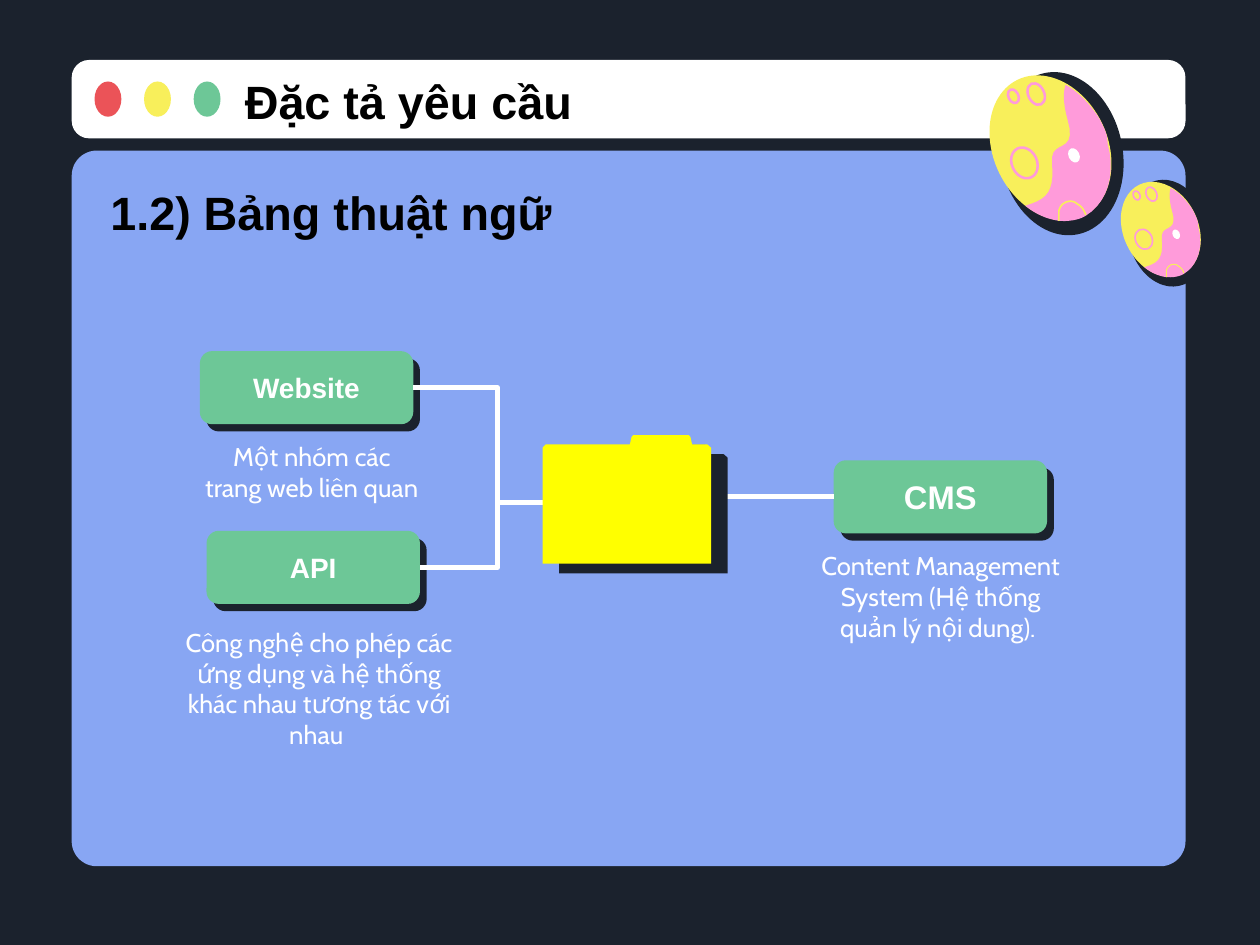
from dataclasses import dataclass

from lxml import etree
from pptx import Presentation
from pptx import util as u
from pptx.dml.color import RGBColor
from pptx.enum import shapes, text
from pptx.oxml.ns import qn

COLUMNS, ROWS = 75, 56.25
CELL = u.Inches(0.1)
Point = tuple[float, float]
Curve = tuple[Point, Point, Point]


@dataclass(frozen=True)
class Theme:
    dark: str = "1B222D"
    panel: str = "88A6F3"
    white: str = "FFFFFF"
    black: str = "000000"
    red: str = "EB5358"
    yellow: str = "F8EF5B"
    green: str = "6DC797"
    pink: str = "FF9BDA"
    folder: str = "FFFF00"
    heading_font: str = "Arial"
    body_font: str = "Cabin"
    heading: float = 20
    label: float = 12
    large_label: float = 14
    note: float = 11
    wire: float = 2.25
    ring: float = 1.1
    arc: float = 0.7


@dataclass(frozen=True)
class Box:
    col: float
    row: float
    cols: float
    rows: float


@dataclass(frozen=True)
class Term:
    label: str
    size: float
    card: Box
    note: str
    note_box: Box


@dataclass(frozen=True)
class Egg:
    col: float
    row: float
    scale: float


T = Theme()
CARD = (12.7, 4.35)
TERMS = [
    Term("Website", T.label, Box(11.9, 20.9, *CARD), "Một nhóm các trang web liên quan", Box(11.46, 25.53, 14.2, 4.9)),
    Term("API", T.label, Box(12.3, 31.6, *CARD),
         "Công nghệ cho phép các ứng dụng và hệ thống khác nhau tương tác với nhau ", Box(9.55, 36.6, 18.9, 6.2)),
    Term("CMS", T.large_label, Box(49.63, 27.4, *CARD),
         "Content Management System (Hệ thống quản lý nội dung). ", Box(47.95, 32.04, 16.1, 6.2)),
]
EGGS = [Egg(62.53, 8.8, 1), Egg(69.1, 13.65, 0.655)]
EGG_TILT = -25.7
RINGS = [Box(-0.85, -3.2, 0.95, 1.35), Box(-2.2, -3.07, 0.6, 0.85), Box(-1.55, 0.9, 1.5, 1.9)]
PINK_HALF: list[Curve] = [
    ((1.6, -3.35), (2.2, -2.75), (2.7, -2.05)), ((2.9, -1.8), (3.05, -1.45), (3.2, -1.15)),
    ((3.3, -0.9), (3.4, -0.65), (3.4, -0.25)), ((3.9, 1.55), (3.4, 3.25), (2.1, 4.05)),
    ((1.7, 4.3), (1.1, 4.4), (0.5, 4.35)), ((-0.2, 4.25), (-0.9, 3.95), (-1.5, 3.45)),
    ((-0.1, 3.05), (0.2, 2.55), (0.1, 0.95)), ((-0.1, -0.65), (1.7, 0.55), (1, -1.75)),
    ((0.7, -2.85), (0.8, -3.45), (0.9, -3.75)),
]
YELLOW_ARC: list[Curve] = [
    ((2, 3.65), (1.8, 3.45), (1.6, 3.35)), ((1.4, 3.15), (1.1, 3.15), (0.9, 3.25)),
    ((0.7, 3.35), (0.6, 3.45), (0.5, 3.75)), ((0.5, 3.95), (0.5, 4.15), (0.5, 4.35)),
]
FOLDER = [(0, 0.75), (0.2, 0.55), (5.2, 0.55), (5.3, 0.1), (5.4, 0), (8.7, 0), (8.8, 0.1),
          (8.9, 0.55), (9.8, 0.55), (10.03, 0.75), (10.03, 7.65), (0, 7.65)]
FOLDER_AT = (32.3, 25.9)
FOLDER_SHADOW = (0.98, 0.59)
CARD_SHADOW = (0.4, 0.43)
TRUNK, FOLDER_ROW = 29.6, 29.9


def grid(value: float) -> int:
    return round(value * CELL)


def rgb(value: str) -> RGBColor:
    return RGBColor.from_string(value)


def paint(s, fill: str | None, line: str | None = None, width: float = 0) -> None:
    s.shadow.inherit = False
    if fill:
        s.fill.solid()
        s.fill.fore_color.rgb = rgb(fill)
    else:
        s.fill.background()
    if line:
        s.line.color.rgb = rgb(line)
        s.line.width = u.Pt(width)
    else:
        s.line.fill.background()


def add_preset(sl, kind, box: Box, fill: str | None, line: str | None = None,
               width: float = 0, tilt: float = 0, corner: float | None = None):
    s = sl.shapes.add_shape(kind, *map(grid, (box.col, box.row, box.cols, box.rows)))
    paint(s, fill, line, width)
    s.rotation = tilt
    if corner is not None:
        s.adjustments[0] = corner
    return s


def add_outline(sl, points: list[Point], closed: bool, fill: str | None,
                line: str | None = None, width: float = 0) -> None:
    (x, y), *rest = [(grid(a), grid(b)) for a, b in points]
    builder = sl.shapes.build_freeform(x, y)
    builder.add_line_segments(rest, close=closed)
    paint(builder.convert_to_shape(), fill, line, width)


def trace(start: Point, curves: list[Curve], steps: int = 10) -> list[Point]:
    points = [start]
    for curve in curves:
        anchors = (points[-1], *curve)
        for k in range(1, steps + 1):
            t = k / steps
            weights = ((1 - t) ** 3, 3 * t * (1 - t) ** 2, 3 * t * t * (1 - t), t ** 3)
            points.append((sum(w * a[0] for w, a in zip(weights, anchors)),
                           sum(w * a[1] for w, a in zip(weights, anchors))))
    return points


def write(s, words: str, size: float, font: str, color: str, bold: bool, align, anchor) -> None:
    tf = s.text_frame
    frame = dict.fromkeys(("margin_left", "margin_right", "margin_top", "margin_bottom"), u.Inches(0.07))
    frame |= {"word_wrap": True, "auto_size": text.MSO_AUTO_SIZE.NONE, "vertical_anchor": anchor}
    for key, value in frame.items():
        setattr(tf, key, value)
    p = tf.paragraphs[0]
    p.alignment = align
    r = p.add_run()
    r.text = words
    for key, value in {"size": u.Pt(size), "name": font, "bold": bold}.items():
        setattr(r.font, key, value)
    r.font.color.rgb = rgb(color)


def add_text_box(sl, box: Box):
    return sl.shapes.add_textbox(*map(grid, (box.col, box.row, box.cols, box.rows)))


def add_heading(s, words: str) -> None:
    write(s, words, T.heading, T.heading_font, T.black, True, text.PP_ALIGN.LEFT, text.MSO_ANCHOR.MIDDLE)


def add_egg(sl, egg: Egg) -> None:
    def place(x: float, y: float) -> Point:
        return egg.col + x * egg.scale, egg.row + y * egg.scale

    def oval(x: float, y: float, w: float, h: float, fill: str | None, line: str | None = None,
             tilt: float = EGG_TILT) -> None:
        box = Box(*place(x - w / 2, y - h / 2), w * egg.scale, h * egg.scale)
        add_preset(sl, shapes.MSO_SHAPE.OVAL, box, fill, line, T.ring * egg.scale, tilt)

    oval(0.65, 0.35, 7.3, 9.8, T.dark, tilt=-11.6)
    oval(0, 0, 6.8, 9, T.yellow)
    for ring in RINGS:
        oval(ring.col, ring.row, ring.cols, ring.rows, None, T.pink)
    half = [place(*pt) for pt in trace((0.9, -3.75), PINK_HALF)]
    add_outline(sl, half, True, T.pink)
    arc = [place(*pt) for pt in trace((2.1, 4), YELLOW_ARC)]
    add_outline(sl, arc, False, None, T.yellow, T.arc * egg.scale)
    oval(1.4, 0.45, 0.65, 0.9, T.white)


def add_term(sl, term: Term):
    b = term.card
    under = Box(b.col + CARD_SHADOW[0], b.row + CARD_SHADOW[1], b.cols, b.rows)
    add_preset(sl, shapes.MSO_SHAPE.ROUNDED_RECTANGLE, under, T.dark, corner=0.167)
    card = add_preset(sl, shapes.MSO_SHAPE.ROUNDED_RECTANGLE, b, T.green, corner=0.167)
    center = text.PP_ALIGN.CENTER
    write(card, term.label, term.size, T.heading_font, T.white, True, center, text.MSO_ANCHOR.MIDDLE)
    note = add_text_box(sl, term.note_box)
    write(note, term.note, T.note, T.body_font, T.white, False, center, text.MSO_ANCHOR.TOP)
    return card


def add_wire(sl, kind, card, site: int, start: Point, end: Point) -> None:
    c = sl.shapes.add_connector(kind, *map(grid, (*start, *end)))
    c.begin_connect(card, site)
    c.line.color.rgb = rgb(T.white)
    c.line.width = u.Pt(T.wire)
    etree.SubElement(c.element.spPr, qn("a:effectLst"))


def main() -> None:
    prs = Presentation()
    prs.slide_width, prs.slide_height = grid(COLUMNS), grid(ROWS)
    sl = prs.slides.add_slide(prs.slide_layouts[5])
    sl.background.fill.solid()
    sl.background.fill.fore_color.rgb = rgb(T.dark)

    rounded = shapes.MSO_SHAPE.ROUNDED_RECTANGLE
    add_preset(sl, rounded, Box(4.27, 8.97, 66.3, 42.6), T.panel, corner=0.035)
    add_preset(sl, rounded, Box(4.27, 3.57, 66.3, 4.67), T.white, corner=0.223)
    for k, color in enumerate((T.red, T.yellow, T.green)):
        add_preset(sl, shapes.MSO_SHAPE.OVAL, Box(5.63 + 2.95 * k, 4.85, 1.6, 2.1), color)
    for egg in EGGS:
        add_egg(sl, egg)

    website, api, cms = [add_term(sl, term) for term in TERMS]
    for card, term in zip((website, api), TERMS):
        right = term.card.col + term.card.cols
        start = (right, term.card.row + term.card.rows / 2)
        add_wire(sl, shapes.MSO_CONNECTOR.ELBOW, card, 3, start, (2 * TRUNK - right, FOLDER_ROW))
    b = TERMS[2].card
    middle = b.row + b.rows / 2
    add_wire(sl, shapes.MSO_CONNECTOR.STRAIGHT, cms, 1, (b.col, middle), (40.7, middle))

    for (dx, dy), color in ((FOLDER_SHADOW, T.dark), ((0, 0), T.folder)):
        outline = [(FOLDER_AT[0] + dx + x, FOLDER_AT[1] + dy + y) for x, y in FOLDER]
        add_outline(sl, outline, True, color)

    title = sl.shapes.title
    for key, value in {"left": 13.87, "top": 2.9, "width": 41.9, "height": 6.2}.items():
        setattr(title, key, grid(value))
    add_heading(title, "Đặc tả yêu cầu")
    sl.shapes.element.append(title.element)
    add_heading(add_text_box(sl, Box(5.87, 9.5, 41.9, 6.2)), "1.2) Bảng thuật ngữ")
    prs.save("out.pptx")


if __name__ == "__main__":
    main()
